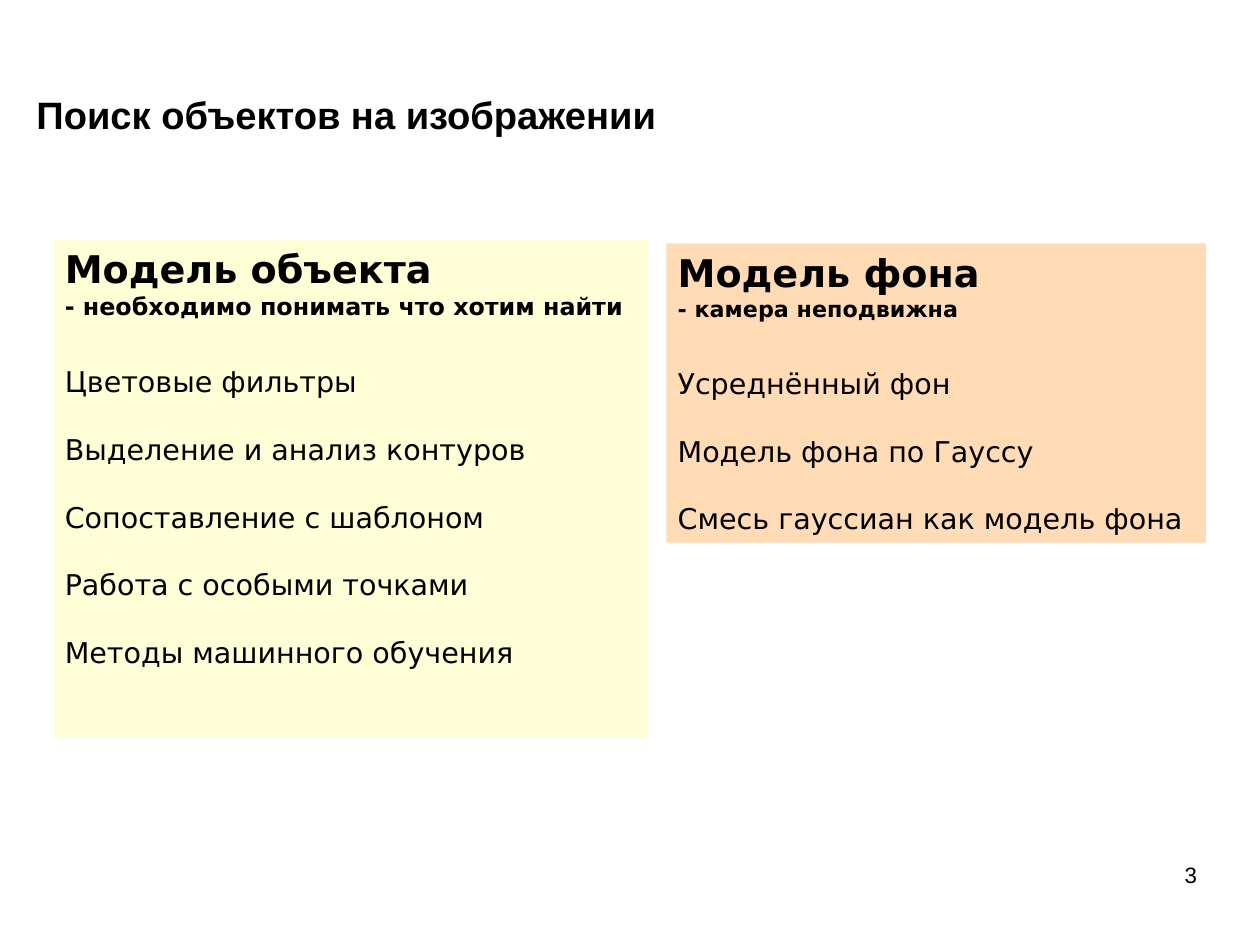
"""Build the slide on finding objects in an image."""
from pptx import Presentation
from pptx.dml.color import RGBColor
from pptx.enum.shapes import MSO_SHAPE
from pptx.enum.text import MSO_ANCHOR, PP_ALIGN
from pptx.util import Cm, Pt

RECTANGLE = MSO_SHAPE.RECTANGLE
TOP, MIDDLE = MSO_ANCHOR.TOP, MSO_ANCHOR.MIDDLE
LEFT, RIGHT = PP_ALIGN.LEFT, PP_ALIGN.RIGHT
HEADING_FONT, PANEL_FONT = "Arial", "DejaVu Sans"
BLACK, YELLOW, ORANGE = "000000", "FFFFD7", "FFDBB6"


def color(value):
    """Return the colour for a hex string."""
    return RGBColor.from_string(value)


def set_attributes(target, values):
    """Set each named format value on the target."""
    for name, value in values.items():
        setattr(target, name, value)


def prepare_frame(shape, anchor, side, edge):
    """Set the wrapping, anchor and margins of a shape's text frame."""
    frame = shape.text_frame
    set_attributes(frame, {
        "word_wrap": True, "vertical_anchor": anchor,
        "margin_left": Cm(side), "margin_right": Cm(side),
        "margin_top": Cm(edge), "margin_bottom": Cm(edge),
    })
    return frame


def write(paragraph, text, font, size, bold=False, align=LEFT, before=0):
    """Write one formatted line into a paragraph."""
    set_attributes(paragraph, {"alignment": align, "space_before": Pt(before)})
    run = paragraph.add_run()
    run.text = text
    set_attributes(run.font, {"name": font, "size": Pt(size), "bold": bold})
    run.font.color.rgb = color(BLACK)


def add_label(slide, box, text, size, bold=False, align=LEFT, anchor=TOP):
    """Add a single line of text without margins in the box."""
    shape = slide.shapes.add_textbox(*map(Cm, box))
    frame = prepare_frame(shape, anchor, 0, 0)
    write(frame.paragraphs[0], text, HEADING_FONT, size, bold, align)


def add_panel(slide, box, fill, heading, note, note_size, methods):
    """Add a coloured panel with a heading, a note and spaced methods."""
    shape = slide.shapes.add_shape(RECTANGLE, *map(Cm, box))
    shape.shadow.inherit = False
    shape.fill.solid()
    shape.fill.fore_color.rgb = color(fill)
    shape.line.fill.background()
    frame = prepare_frame(shape, TOP, 0.25, 0.13)
    write(frame.paragraphs[0], heading, PANEL_FONT, 24, bold=True)
    write(frame.add_paragraph(), note, PANEL_FONT, note_size, bold=True)
    for index, method in enumerate(methods):
        before = 21 if index else 28
        write(frame.add_paragraph(), method, PANEL_FONT, 18, before=before)


def main():
    """Build and save the presentation."""
    presentation = Presentation()
    set_attributes(presentation, {"slide_width": Cm(28), "slide_height": Cm(21)})
    slide = presentation.slides.add_slide(presentation.slide_layouts[6])
    add_panel(
        slide, (1.19, 5.33, 13.21, 11.07), YELLOW,
        "Модель объекта", "- необходимо понимать что хотим найти", 15,
        ["Цветовые фильтры", "Выделение и анализ контуров",
         "Сопоставление с шаблоном", "Работа с особыми точками",
         "Методы машинного обучения"])
    add_panel(
        slide, (14.81, 5.41, 11.99, 6.65), ORANGE,
        "Модель фона", "- камера неподвижна", 14,
        ["Усреднённый фон", "Модель фона по Гауссу",
         "Смесь гауссиан как модель фона"])
    add_label(slide, (0.81, 2.06, 16.21, 0.94),
              "Поиск объектов на изображении", 24, bold=True, anchor=MIDDLE)
    add_label(slide, (20.07, 19.13, 6.53, 1.45), "3", 14, align=RIGHT)
    presentation.save("out.pptx")


main()
